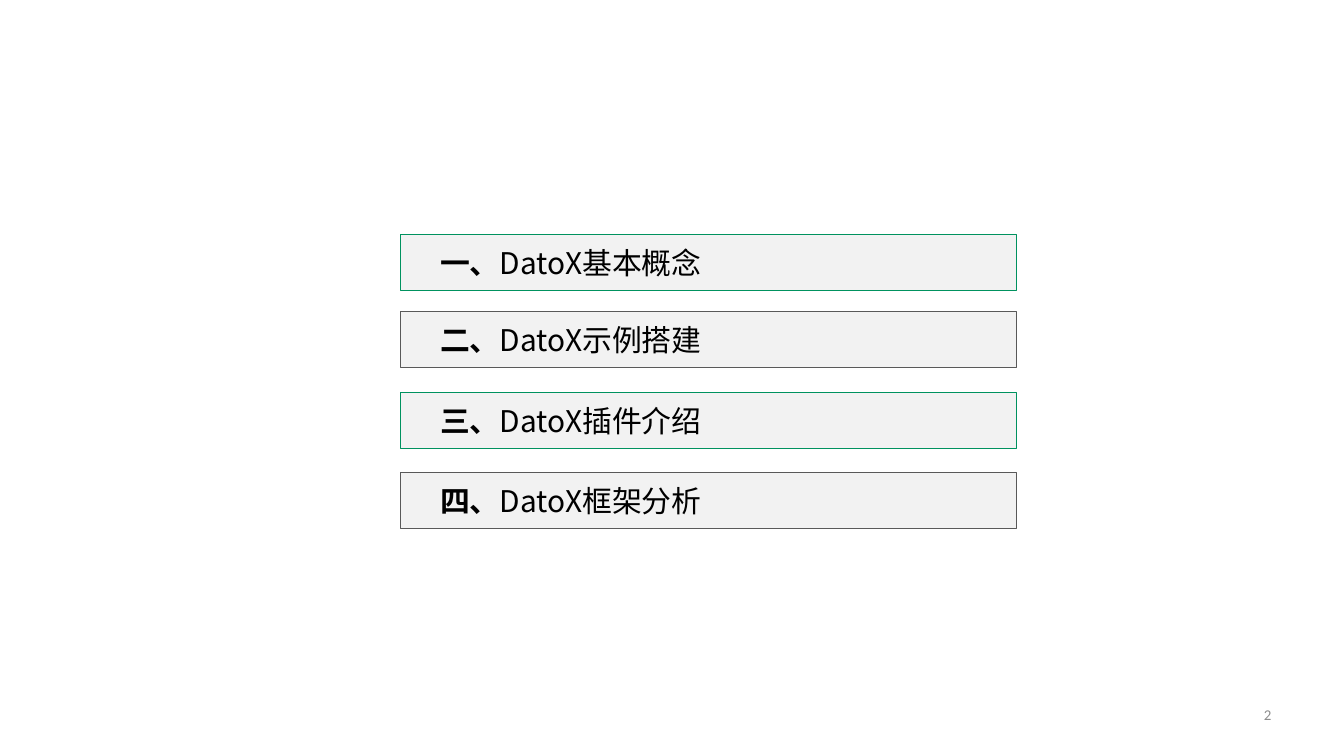
from dataclasses import dataclass

import pptx
import pptx.dml.color
import pptx.enum.shapes
import pptx.enum.text
import pptx.oxml
import pptx.oxml.ns
import pptx.util

Cm = pptx.util.Cm
Pt = pptx.util.Pt
RGB = pptx.dml.color.RGBColor
Align = pptx.enum.text.PP_ALIGN


@dataclass(frozen=True)
class Theme:
    fill: RGB = RGB(0xF2, 0xF2, 0xF2)
    green: RGB = RGB(0x00, 0x92, 0x5F)
    gray: RGB = RGB(0x59, 0x59, 0x59)
    text: RGB = RGB(0, 0, 0)
    muted: RGB = RGB(0x8C, 0x8C, 0x8C)
    heading_font: str = "Noto Sans CJK SC"
    number_font: str = "Calibri"
    heading_size: int = 16
    number_size: int = 8


@dataclass(frozen=True)
class AgendaItem:
    ordinal: str
    title: str
    top: float
    line: RGB


THEME = Theme()
BAR_LEFT, BAR_WIDTH, BAR_HEIGHT = 7.57, 11.65, 1.06
ITEMS = [
    AgendaItem("一、", "DatoX基本概念", 4.44, THEME.green),
    AgendaItem("二、", "DatoX示例搭建", 5.89, THEME.gray),
    AgendaItem("三、", "DatoX插件介绍", 7.42, THEME.green),
    AgendaItem("四、", "DatoX框架分析", 8.94, THEME.gray),
]


def add_run(p, text: str, *, font: str, size: int, color: RGB, bold: bool = False) -> None:
    """Append a run whose font covers both Latin and East Asian text."""
    r = p.add_run()
    r.text = text
    r.font.name = font
    r.font.size = Pt(size)
    r.font.bold = bold
    r.font.color.rgb = color
    ea = pptx.oxml.parse_xml(f'<a:ea {pptx.oxml.ns.nsdecls("a")} typeface="{font}"/>')
    r.font._element.find(pptx.oxml.ns.qn("a:latin")).addnext(ea)


def add_agenda_bar(s, item: AgendaItem) -> None:
    sp = s.shapes.add_shape(
        pptx.enum.shapes.MSO_SHAPE.RECTANGLE,
        Cm(BAR_LEFT), Cm(item.top), Cm(BAR_WIDTH), Cm(BAR_HEIGHT),
    )
    sp.shadow.inherit = False
    sp.fill.solid()
    sp.fill.fore_color.rgb = THEME.fill
    sp.line.color.rgb = item.line
    sp.line.width = Pt(0.5)
    tf = sp.text_frame
    tf.word_wrap = True
    tf.vertical_anchor = pptx.enum.text.MSO_ANCHOR.MIDDLE
    p = tf.paragraphs[0]
    p.alignment = Align.LEFT
    p._p.get_or_add_pPr().set("marL", str(Cm(0.5)))
    for text, bold in ((item.ordinal, True), (item.title, False)):
        add_run(p, text, font=THEME.heading_font, size=THEME.heading_size,
                color=THEME.text, bold=bold)


def add_page_number(s, number: int) -> None:
    tf = s.shapes.add_textbox(Cm(21.79), Cm(13.21), Cm(2.24), Cm(0.6)).text_frame
    tf.word_wrap = True
    tf.margin_right = 0
    p = tf.paragraphs[0]
    p.alignment = Align.RIGHT
    add_run(p, str(number), font=THEME.number_font, size=THEME.number_size,
            color=THEME.muted)


def main() -> None:
    prs = pptx.Presentation()
    prs.slide_width, prs.slide_height = Cm(25.4), Cm(14.29)
    s = prs.slides.add_slide(prs.slide_layouts[6])
    add_page_number(s, 2)
    for item in ITEMS:
        add_agenda_bar(s, item)
    prs.save("out.pptx")


if __name__ == "__main__":
    main()
